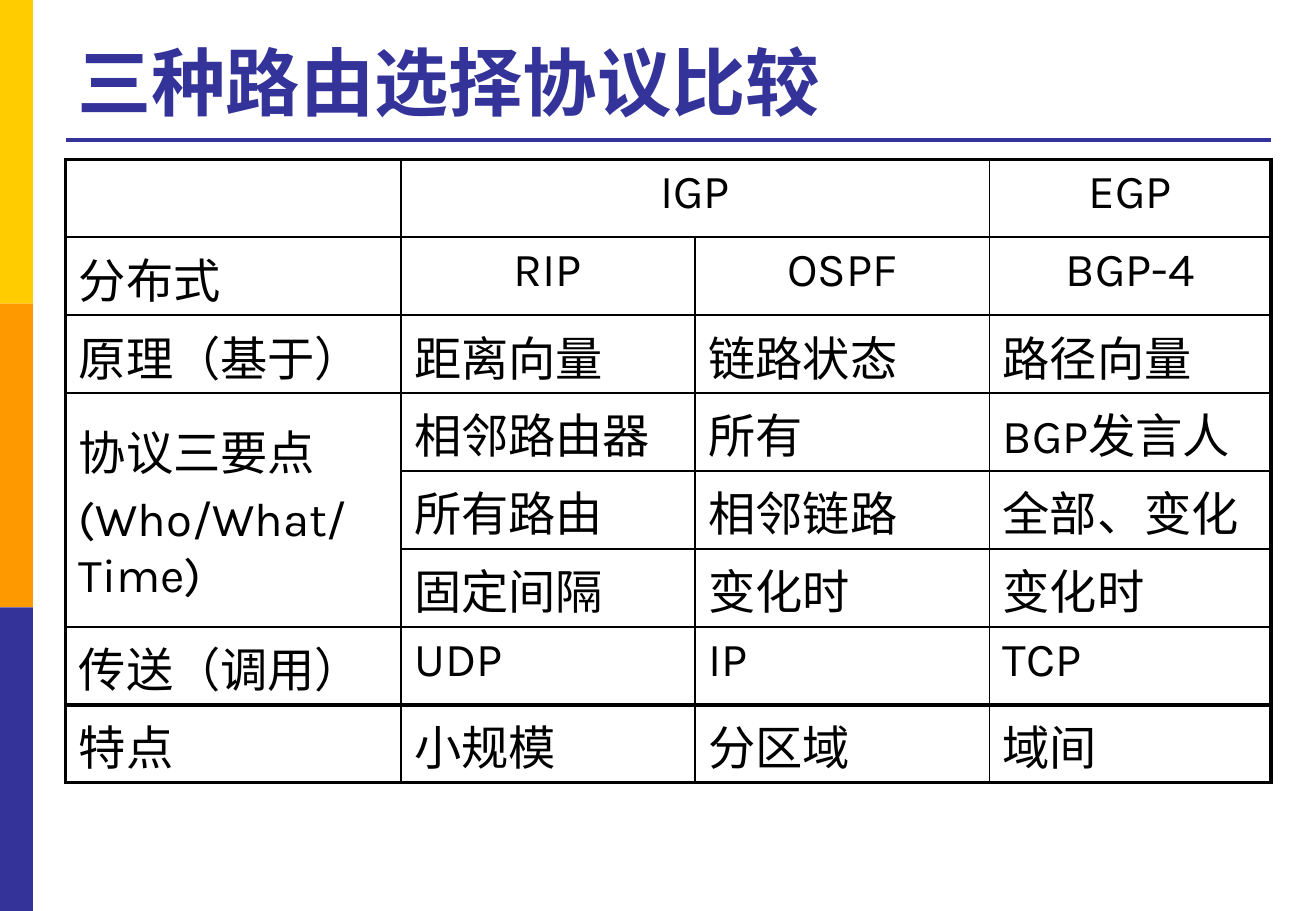
import pptx
import pptx.dml.color
import pptx.enum.lang
import pptx.enum.shapes
import pptx.enum.text
import pptx.oxml
import pptx.oxml.ns
import pptx.util
from pptx.util import Cm

COLORS = {"yellow": "FFCC00", "orange": "FF9900", "indigo": "333399", "black": "000000"}
ALIGN = pptx.enum.text.PP_ALIGN
ANCHOR = pptx.enum.text.MSO_ANCHOR
THIN, THICK = 1, 2.25
HEADER_ROWS = 2
RULED_ROW = 6  # the row above the thick inner rule

COLUMN_WIDTHS = (7.01, 6.15, 6.15, 5.89)
ROW_HEIGHT = 1.63
PROTOCOLS = (
    ("", "IGP", "", "EGP"),
    ("分布式", "RIP", "OSPF", "BGP-4"),
    ("原理（基于）", "距离向量", "链路状态", "路径向量"),
    ("协议三要点\n(Who/What/Time)", "相邻路由器", "所有", "BGP发言人"),
    ("", "所有路由", "相邻链路", "全部、变化"),
    ("", "固定间隔", "变化时", "变化时"),
    ("传送（调用）", "UDP", "IP", "TCP"),
    ("特点", "小规模", "分区域", "域间"),
)
MERGES = (((0, 1), (0, 2)), ((3, 0), (5, 0)))


def rgb(name):
    """Return the named colour."""
    return pptx.dml.color.RGBColor.from_string(COLORS[name])


def write_text(frame, text, font="Karla", size=28, color="black", bold=False,
               align=ALIGN.LEFT, before=0):
    """Write each line of text as a formatted paragraph."""
    for index, line in enumerate(text.split("\n")):
        para = frame.add_paragraph() if index else frame.paragraphs[0]
        para.alignment = align
        para.space_before = pptx.util.Pt(before)
        span = para.add_run()
        span.text = line
        span.font.name = font
        span.font.size = pptx.util.Pt(size)
        span.font.bold = bold
        span.font.color.rgb = rgb(color)
        span.font.language_id = pptx.enum.lang.MSO_LANGUAGE_ID.SIMPLIFIED_CHINESE


def set_borders(cell, **weights):
    """Give a cell black edges, with weights in points in L, R, T, B order."""
    properties = cell._tc.get_or_add_tcPr()
    for index, (side, weight) in enumerate(weights.items()):
        edge = pptx.oxml.parse_xml(
            f'<a:ln{side} {pptx.oxml.ns.nsdecls("a")} w="{pptx.util.Pt(weight)}">'
            f'<a:solidFill><a:srgbClr val="{COLORS["black"]}"/></a:solidFill></a:ln{side}>')
        properties.insert(index, edge)


class SlideBuilder:
    """Holds the current slide and its style."""

    def __init__(self, page, accent="indigo"):
        """Keep the page and its accent colour."""
        self.shapes = page.shapes
        self.accent = accent

    def bar(self, left, top, width, height, color):
        """Add a plain filled rectangle."""
        shape = self.shapes.add_shape(pptx.enum.shapes.MSO_SHAPE.RECTANGLE,
                                      Cm(left), Cm(top), Cm(width), Cm(height))
        shape.shadow.inherit = False
        shape.fill.solid()
        shape.fill.fore_color.rgb = rgb(color)
        shape.line.fill.background()

    def rule(self, left, right, top):
        """Add a horizontal accent line."""
        line = self.shapes.add_connector(pptx.enum.shapes.MSO_CONNECTOR.STRAIGHT,
                                         Cm(left), Cm(top), Cm(right), Cm(top))
        line.line.color.rgb = rgb(self.accent)
        line.line.width = pptx.util.Pt(THICK)
        line._element.spPr.append(
            pptx.oxml.parse_xml(f'<a:effectLst {pptx.oxml.ns.nsdecls("a")}/>'))

    def title(self, text, left, top, width, height):
        """Add the bottom-anchored title."""
        box = self.shapes.add_textbox(Cm(left), Cm(top), Cm(width), Cm(height))
        box.text_frame.word_wrap = True
        box.text_frame.vertical_anchor = ANCHOR.BOTTOM
        write_text(box.text_frame, text, font="Arial", size=44, color=self.accent, bold=True)

    def table(self, rows, left, top, widths, row_height, merges):
        """Add a ruled table with a thick outline and centred header cells."""
        last_row, last_column = len(rows) - 1, len(widths) - 1
        frame = self.shapes.add_table(len(rows), len(widths), Cm(left), Cm(top),
                                      Cm(sum(widths)), Cm(row_height * len(rows)))
        grid = frame.table
        grid.first_row = grid.horz_banding = False
        for column, width in zip(grid.columns, widths):
            column.width = Cm(width)
        for row in grid.rows:
            row.height = Cm(row_height)
        for r, texts in enumerate(rows):
            for c, text in enumerate(texts):
                cell = grid.cell(r, c)
                cell.fill.background()
                cell.margin_left = cell.margin_right = Cm(0.28)
                cell.margin_top = cell.margin_bottom = Cm(0.13)
                set_borders(cell,
                            L=THICK if c == 0 else THIN,
                            R=THICK if c == last_column else THIN,
                            T=THICK if r in (0, RULED_ROW + 1) else THIN,
                            B=THICK if r in (RULED_ROW, last_row) else THIN)
                if text:
                    centred = r < HEADER_ROWS and c > 0
                    write_text(cell.text_frame, text, before=5.6,
                               align=ALIGN.CENTER if centred else ALIGN.LEFT)
        for start, end in merges:
            grid.cell(*start).merge(grid.cell(*end))
            grid.cell(*start).vertical_anchor = ANCHOR.MIDDLE if start[0] else ANCHOR.TOP


def main():
    """Build and save the deck."""
    deck = pptx.Presentation()
    deck.slide_width, deck.slide_height = Cm(27.51), Cm(19.05)
    builder = SlideBuilder(deck.slides.add_slide(deck.slide_layouts[6]))
    bar_height = 19.05 / 3
    for index, color in enumerate(("yellow", "orange", "indigo")):
        builder.bar(0, index * bar_height, 0.69, bar_height, color)
    builder.rule(1.37, 26.57, 2.92)
    builder.title("三种路由选择协议比较", 1.37, 0.53, 25.17, 2.21)
    builder.table(PROTOCOLS, 1.37, 3.33, COLUMN_WIDTHS, ROW_HEIGHT, MERGES)
    deck.save("out.pptx")


main()
